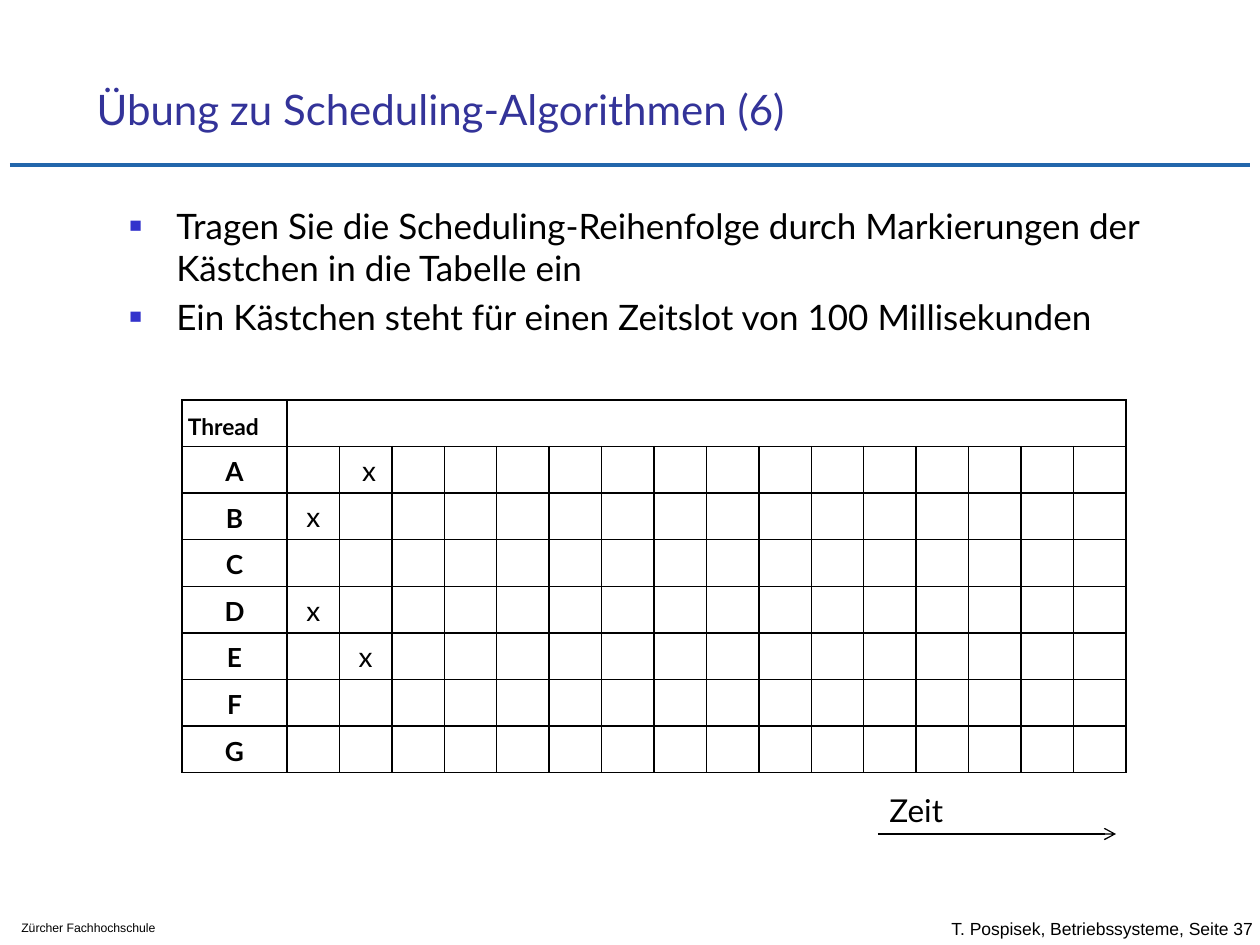
from dataclasses import dataclass

from lxml import etree
from pptx import Presentation
from pptx import util as u
from pptx.dml.color import RGBColor
from pptx.enum import shapes, text
from pptx.oxml import ns

BLACK = RGBColor(0x00, 0x00, 0x00)
WHITE = RGBColor(0xFF, 0xFF, 0xFF)
TITLE_BLUE = RGBColor(0x33, 0x33, 0x99)
BULLET_BLUE = RGBColor(0x33, 0x33, 0xCC)
RULE_BLUE = RGBColor(0x22, 0x66, 0xAB)

PX_PER_INCH = 126
THREADS = "ABCDEFG"
SLOTS = 16
MARKS = {("A", 2): "\u00a0x".replace("\u00a0", " "), ("B", 1): "x", ("D", 1): "x", ("E", 2): "x"}
BULLETS = (
    "Tragen Sie die Scheduling-Reihenfolge durch Markierungen der Kästchen in die Tabelle ein",
    "Ein Kästchen steht für einen Zeitslot von 100 Millisekunden",
)


@dataclass(frozen=True)
class Label:
    text: str
    x: int
    y: int
    w: int
    h: int
    size: int
    font: str
    anchor: text.MSO_ANCHOR = text.MSO_ANCHOR.TOP
    wrap: bool = True


@dataclass(frozen=True)
class Line:
    x1: int
    x2: int
    y: int
    color: RGBColor
    width: float
    arrow: bool = False


LABELS = (
    Label("T. Pospisek, Betriebssysteme, Seite 37", 939, 907, 432, 42, 10, "Arial",
          text.MSO_ANCHOR.MIDDLE),
    Label("Zürcher Fachhochschule", 9, 914, 217, 28, 7, "Arial"),
    Label("Zeit", 877, 785, 81, 50, 18, "Lato", wrap=False),
)
LINES = (
    Line(10, 1250, 165, RULE_BLUE, 2.5),
    Line(878, 1116, 834, BLACK, 0.75, arrow=True),
)


def px(n: int) -> u.Emu:
    return u.Emu(round(n * u.Inches(1) / PX_PER_INCH))


def add_xml(parent, tag: str, **attrs: str):
    return etree.SubElement(parent, ns.qn(tag), attrs)


def style(p, size: int, font: str, color: RGBColor = BLACK, bold: bool = False) -> None:
    p.font.size = u.Pt(size)
    p.font.name = font
    p.font.bold = bold
    p.font.color.rgb = color


def place(sp, x: int, y: int, w: int, h: int) -> None:
    sp.left, sp.top, sp.width, sp.height = px(x), px(y), px(w), px(h)


def add_title(s, title: str) -> None:
    sp = s.shapes.title
    place(sp, 84, 45, 1074, 95)
    tf = sp.text_frame
    tf.text = title
    tf.auto_size = text.MSO_AUTO_SIZE.NONE
    tf.vertical_anchor = text.MSO_ANCHOR.BOTTOM
    p = tf.paragraphs[0]
    p.alignment = text.PP_ALIGN.LEFT
    style(p, 24, "Lato", TITLE_BLUE)


def add_label(s, label: Label) -> None:
    sp = s.shapes.add_textbox(px(label.x), px(label.y), px(label.w), px(label.h))
    tf = sp.text_frame
    tf.word_wrap = label.wrap
    tf.vertical_anchor = label.anchor
    tf.text = label.text
    style(tf.paragraphs[0], label.size, label.font)


def add_line(s, line: Line) -> None:
    sp = s.shapes.add_connector(shapes.MSO_CONNECTOR.STRAIGHT,
                                px(line.x1), px(line.y), px(line.x2), px(line.y))
    sp.line.color.rgb = line.color
    sp.line.width = u.Pt(line.width)
    if line.arrow:
        add_xml(sp.line._get_or_add_ln(), "a:tailEnd", type="arrow")
    add_xml(sp._element.spPr, "a:effectLst")


def add_bullets(s) -> None:
    tf = s.shapes.add_textbox(px(116), px(198), px(1070), px(106)).text_frame
    tf.word_wrap = True
    for i, item in enumerate(BULLETS):
        p = tf.add_paragraph() if i else tf.paragraphs[0]
        p.text = item
        pPr = p._p.get_or_add_pPr()
        pPr.set("marL", str(px(48)))
        pPr.set("indent", str(-px(47)))
        add_xml(add_xml(pPr, "a:buClr"), "a:srgbClr", val=str(BULLET_BLUE))
        add_xml(pPr, "a:buSzPct", val="60000")
        add_xml(pPr, "a:buFont", typeface="Arial")
        add_xml(pPr, "a:buChar", char="■")
        if i:
            p.space_before = u.Pt(4)
        style(p, 20, "Lato")


def add_borders(cell) -> None:
    """Draw all four cell edges; they must precede the fill in the XML."""
    tcPr = cell._tc.get_or_add_tcPr()
    for side in ("a:lnL", "a:lnR", "a:lnT", "a:lnB"):
        ln = add_xml(tcPr, side, w=str(u.Pt(0.96)))
        add_xml(add_xml(ln, "a:solidFill"), "a:srgbClr", val=str(BLACK))


def fill_cell(cell, content: str, size: int, bold: bool, centred: bool) -> None:
    add_borders(cell)
    cell.fill.solid()
    cell.fill.fore_color.rgb = WHITE
    cell.vertical_anchor = text.MSO_ANCHOR.BOTTOM
    cell.margin_left = cell.margin_right = px(6)
    cell.margin_top = cell.margin_bottom = px(6 if content else 0)
    cell.text = content
    p = cell.text_frame.paragraphs[0]
    if centred:
        p.alignment = text.PP_ALIGN.CENTER
    style(p, size, "Lato", bold=bold)


def add_schedule(s) -> None:
    rows = len(THREADS) + 1
    table = s.shapes.add_table(rows, SLOTS + 1, px(182), px(400), px(944), px(373)).table
    table.first_row = table.horz_banding = False
    table.columns[0].width = px(105)
    for c in range(1, SLOTS + 1):
        table.columns[c].width = px(839) // SLOTS
    for row in table.rows:
        row.height = px(373) // rows

    fill_cell(table.cell(0, 0), "Thread", 13, bold=True, centred=False)
    for c in range(1, SLOTS + 1):
        fill_cell(table.cell(0, c), "", 12, bold=False, centred=False)
    table.cell(0, 1).merge(table.cell(0, SLOTS))
    for r, thread in enumerate(THREADS, start=1):
        fill_cell(table.cell(r, 0), thread, 15, bold=True, centred=True)
        for c in range(1, SLOTS + 1):
            mark = MARKS.get((thread, c), "")
            fill_cell(table.cell(r, c), mark, 16 if mark else 12, bold=False, centred=True)


def main() -> None:
    prs = Presentation()
    prs.slide_width, prs.slide_height = px(1260), px(945)
    s = prs.slides.add_slide(prs.slide_layouts[5])
    add_title(s, "Übung zu Scheduling-Algorithmen (6)")
    add_bullets(s)
    add_schedule(s)
    for line in LINES:
        add_line(s, line)
    for label in LABELS:
        add_label(s, label)
    prs.save("out.pptx")


if __name__ == "__main__":
    main()
